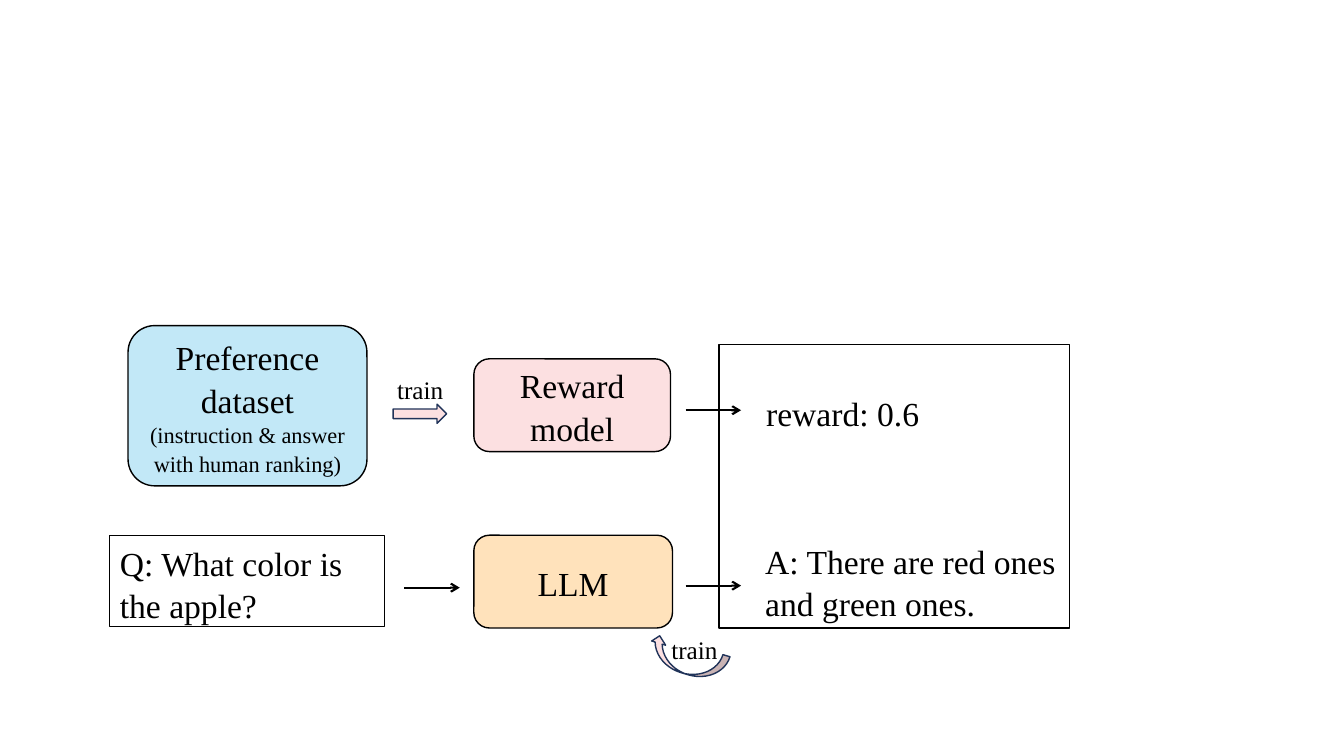
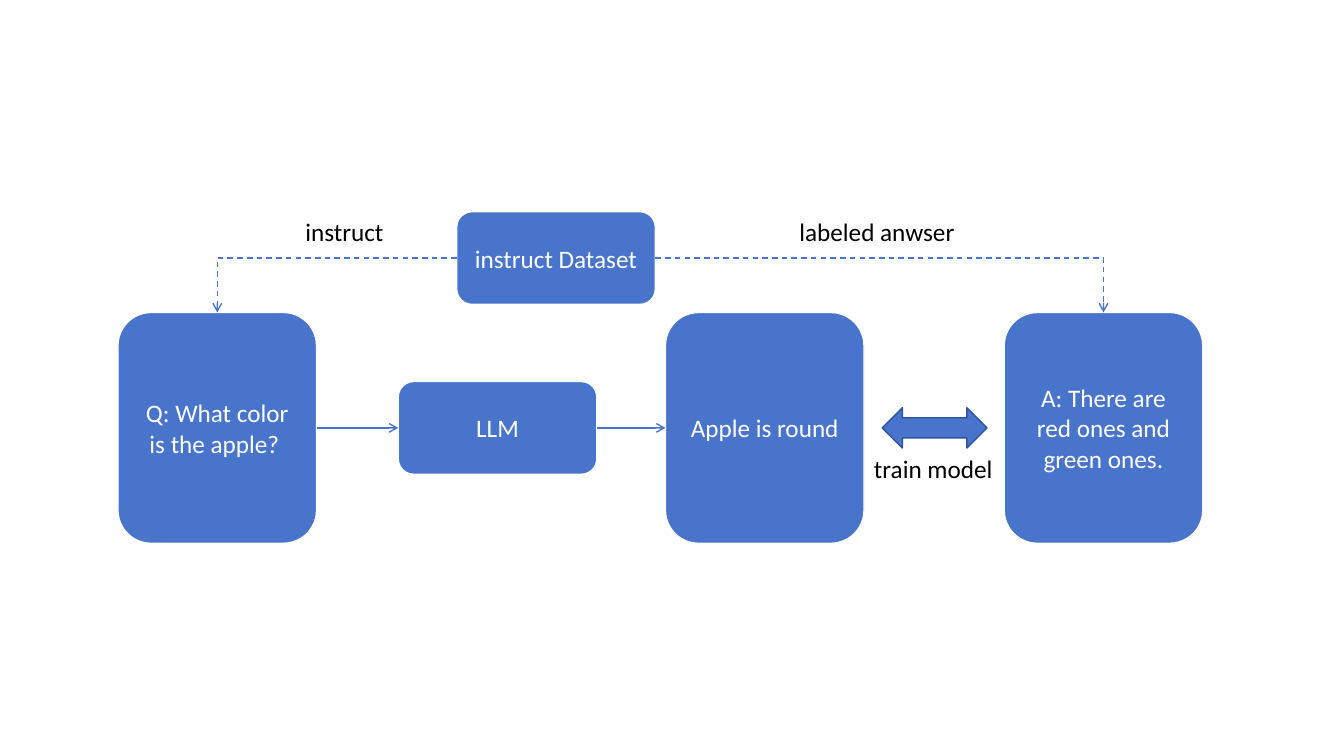
from dataclasses import dataclass, replace
from typing import Any, Optional

from lxml import etree
from pptx import Presentation
from pptx import util as u
from pptx.dml.color import RGBColor
from pptx.enum import dml, shapes, text
from pptx.oxml.ns import qn

CELL = 0.1
ROUND = shapes.MSO_SHAPE.ROUNDED_RECTANGLE
RECT = shapes.MSO_SHAPE.RECTANGLE


@dataclass(frozen=True)
class Theme:
    black: str = "000000"
    white: str = "FFFFFF"
    blue: str = "4874CB"
    blue_edge: str = "2E54A1"
    navy: str = "203359"
    sky: str = "C2E8F7"
    pink: str = "FCE0E1"
    peach: str = "FFE2BB"
    serif: str = "Times New Roman"
    sans: str = "Calibri"
    large: int = 24
    medium: int = 18
    small: int = 16


T = Theme()


@dataclass(frozen=True)
class Style:
    font: str
    size: int
    color: str
    fill: Optional[str] = None
    line: Optional[str] = None
    weight: float = 1
    spacing: float = 1
    centred: bool = False


@dataclass(frozen=True)
class Box:
    x: float
    y: float
    w: float
    h: float
    style: Style
    lines: tuple[str, ...] = ()
    shape: Optional[shapes.MSO_SHAPE] = None
    sizes: tuple[int, ...] = ()
    rotation: float = 0


@dataclass(frozen=True)
class Arrow:
    x: float
    y: float
    length: float


@dataclass(frozen=True)
class Link:
    start: str
    start_site: int
    end: str
    end_site: int
    bent: bool = False


SERIF = Style(T.serif, T.large, T.black, spacing=1.06)
SERIF_LABEL = replace(SERIF, size=T.medium)
CARD = replace(SERIF, line=T.black, centred=True)
FRAME = replace(SERIF, line=T.black)
TRAIN = replace(SERIF, fill=T.pink, line=T.navy)
SANS = Style(T.sans, T.medium, T.black)
NODE = replace(SANS, color=T.white, fill=T.blue, line=T.white, centred=True)

REWARD_BOXES = (
    Box(47, 53.1, 19.7, 9.2, replace(CARD, fill=T.peach), ("LLM",), ROUND),
    Box(75, 38.3, 21.9, 5, SERIF, ("reward: 0.6",)),
    Box(47, 35.6, 19.5, 9.2, replace(CARD, fill=T.pink), ("Reward", "model"), ROUND),
    Box(10.9, 53.1, 27.2, 9.1, replace(FRAME, weight=0.75),
        ("Q: What color is the apple?",), RECT),
    Box(74.9, 52.9, 32.8, 9.1, SERIF, ("A: There are red ones and green ones.",)),
    Box(66.7, 61.4, 2.9, 8, TRAIN, shape=shapes.MSO_SHAPE.CURVED_LEFT_ARROW, rotation=106.6),
    Box(65.6, 62.3, 6.9, 4, SERIF_LABEL, ("train",)),
    Box(12.7, 32.3, 23.7, 15.9, replace(CARD, fill=T.sky),
        ("Preference dataset", "(instruction & answer with human ranking)"),
        ROUND, (T.large, T.small)),
    Box(71.3, 34.2, 34.8, 28.1, FRAME, shape=RECT),
    Box(39, 40.1, 5.3, 1.9, TRAIN, shape=shapes.MSO_SHAPE.RIGHT_ARROW),
    Box(38.4, 36.5, 6.9, 4, SERIF_LABEL, ("train",)),
)
REWARD_ARROWS = (Arrow(40.1, 58.3, 5.5), Arrow(68, 58.1, 5.5), Arrow(68, 40.7, 5.5))

NODE_W, NODE_H, TALL_H = 19.7, 9.2, 22.9
TALL_Y = 31
MID_Y = TALL_Y + TALL_H / 2
NODES = {
    "dataset": Box(45.3, 21, NODE_W, NODE_H, NODE, ("instruct Dataset",), ROUND),
    "llm": Box(39.5, MID_Y - NODE_H / 2, NODE_W, NODE_H, NODE, ("LLM",), ROUND),
    "question": Box(11.7, TALL_Y, NODE_W, TALL_H, NODE, ("Q: What color is the apple? ",), ROUND),
    "answer": Box(99.6, TALL_Y, NODE_W, TALL_H, NODE,
                  ("A: There are red ones and green ones.",), ROUND),
    "output": Box(66, TALL_Y, NODE_W, TALL_H, NODE, ("Apple is round",), ROUND),
}
TOP, LEFT, RIGHT = 0, 1, 3
LINKS = (
    Link("dataset", LEFT, "question", TOP, True),
    Link("dataset", RIGHT, "answer", TOP, True),
    Link("llm", RIGHT, "output", LEFT),
    Link("question", RIGHT, "llm", LEFT),
)
INSTRUCT_LABELS = (
    Box(87.5, MID_Y - 2, 10.4, 4, replace(NODE, line=T.blue_edge),
        shape=shapes.MSO_SHAPE.LEFT_RIGHT_ARROW),
    Box(85.7, 44.5, 14, 4, SANS, ("train model",)),
    Box(29.3, 21, 13.9, 4, SANS, ("instruct",)),
    Box(78.3, 21, 17.9, 4, SANS, ("labeled anwser",)),
)


def cells(n: float) -> int:
    return u.Inches(n * CELL)


def assign(target: Any, values: dict[str, Any]) -> None:
    for name, value in values.items():
        setattr(target, name, value)


def paint(sp: Any, style: Style) -> None:
    if style.fill:
        sp.fill.solid()
        sp.fill.fore_color.rgb = RGBColor.from_string(style.fill)
    else:
        sp.fill.background()
    if style.line:
        sp.line.color.rgb = RGBColor.from_string(style.line)
        sp.line.width = u.Pt(style.weight)
    else:
        sp.line.fill.background()


def write(tf: Any, box: Box) -> None:
    style = box.style
    assign(tf, {
        "word_wrap": True,
        "vertical_anchor": text.MSO_ANCHOR.MIDDLE if style.centred else text.MSO_ANCHOR.TOP,
    })
    for i, line in enumerate(box.lines):
        p = tf.paragraphs[0] if i == 0 else tf.add_paragraph()
        assign(p, {
            "alignment": text.PP_ALIGN.CENTER if style.centred else text.PP_ALIGN.LEFT,
            "line_spacing": style.spacing,
        })
        r = p.add_run()
        r.text = line
        size = box.sizes[i] if box.sizes else style.size
        assign(r.font, {"name": style.font, "size": u.Pt(size)})
        r.font.color.rgb = RGBColor.from_string(style.color)


def draw_box(s: Any, box: Box) -> Any:
    frame = [cells(n) for n in (box.x, box.y, box.w, box.h)]
    if box.shape is None:
        sp = s.shapes.add_textbox(*frame)
    else:
        sp = s.shapes.add_shape(box.shape, *frame)
        sp.shadow.inherit = False
        paint(sp, box.style)
    sp.rotation = box.rotation
    if box.lines:
        write(sp.text_frame, box)
    return sp


def finish_line(cx: Any, color: str, weight: float) -> None:
    cx.line.color.rgb = RGBColor.from_string(color)
    cx.line.width = u.Pt(weight)
    ln = cx.line._get_or_add_ln()
    etree.SubElement(ln, qn("a:tailEnd"), type="arrow")
    etree.SubElement(cx._element.spPr, qn("a:effectLst"))


def draw_arrow(s: Any, arrow: Arrow) -> None:
    y = cells(arrow.y)
    cx = s.shapes.add_connector(shapes.MSO_CONNECTOR.STRAIGHT, cells(arrow.x), y,
                                cells(arrow.x + arrow.length), y)
    finish_line(cx, T.black, 1.5)


def draw_link(s: Any, link: Link, nodes: dict[str, Any]) -> None:
    kind = shapes.MSO_CONNECTOR.ELBOW if link.bent else shapes.MSO_CONNECTOR.STRAIGHT
    cx = s.shapes.add_connector(kind, 0, 0, 0, 0)
    cx.begin_connect(nodes[link.start], link.start_site)
    cx.end_connect(nodes[link.end], link.end_site)
    if link.bent:
        cx._element.spPr.find(qn("a:prstGeom")).set("prst", "bentConnector2")
        cx.line.dash_style = dml.MSO_LINE.DASH
    finish_line(cx, T.blue, 1)


def reward_slide(s: Any) -> None:
    for box in REWARD_BOXES:
        draw_box(s, box)
    for arrow in REWARD_ARROWS:
        draw_arrow(s, arrow)


def instruct_slide(s: Any) -> None:
    nodes = {name: draw_box(s, box) for name, box in NODES.items()}
    for link in LINKS:
        draw_link(s, link, nodes)
    for box in INSTRUCT_LABELS:
        draw_box(s, box)


def main() -> None:
    prs = Presentation()
    assign(prs, {"slide_width": u.Inches(13.33), "slide_height": u.Inches(7.5)})
    for build in (reward_slide, instruct_slide):
        build(prs.slides.add_slide(prs.slide_layouts[6]))
    prs.save("out.pptx")


if __name__ == "__main__":
    main()
